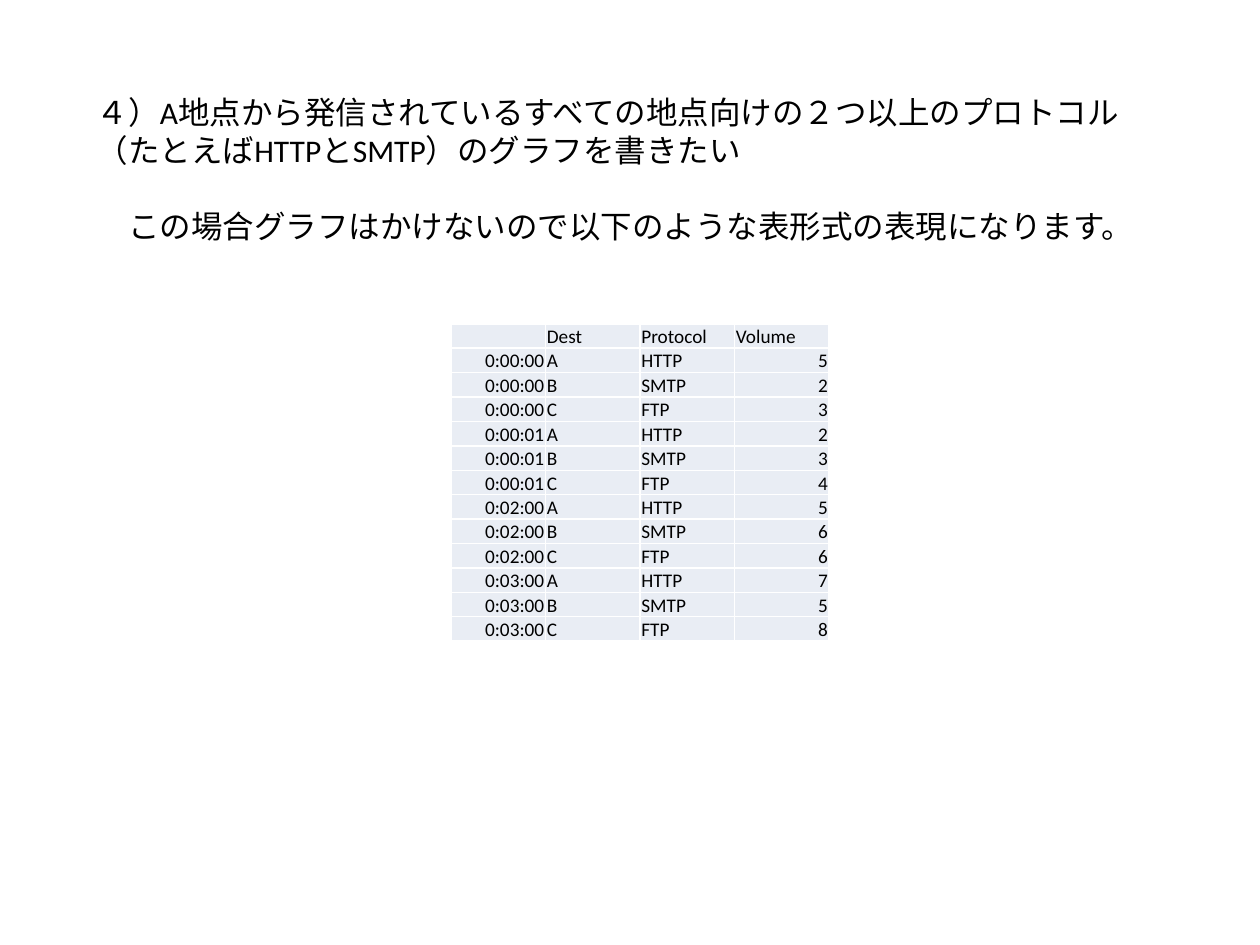
from dataclasses import dataclass
from itertools import product
from lxml.etree import SubElement
from pptx import Presentation
from pptx.dml.color import RGBColor as Rgb
from pptx.enum.text import MSO_ANCHOR as Anchor, MSO_AUTO_SIZE as Fit, PP_ALIGN as Align
from pptx.oxml.ns import qn
from pptx.util import Inches, Pt

HUES = {"ink": "000000", "cell": "E9EDF4", "line": "FFFFFF"}
FONT = "Calibri"
HEAD = ("", "Dest", "Protocol", "Volume")
TIMES = ("0:00:00", "0:00:01", "0:02:00", "0:03:00")
PORTS = (("A", "HTTP"), ("B", "SMTP"), ("C", "FTP"))
LOADS = (5, 2, 3, 2, 3, 4, 5, 6, 6, 7, 5, 8)
NOTES = (
    "４）A地点から発信されているすべての地点向けの２つ以上のプロトコル（たとえばHTTPとSMTP）のグラフを書きたい",
    "　この場合グラフはかけないので以下のような表形式の表現になります。",
)


@dataclass
class Box:
    left: float
    top: float
    width: float
    height: float

    def place(self) -> tuple:
        return tuple(Inches(n) for n in (self.left, self.top, self.width, self.height))


def put(para, text: str, *, size: int, align=Align.LEFT, gap: int = 0) -> None:
    para.alignment = align
    para.space_before = Pt(gap)
    if not text:
        SubElement(para._p, qn("a:endParaRPr"), sz=str(size * 100))
        return
    run = para.add_run()
    run.text = text
    run.font.size = Pt(size)
    run.font.name = FONT
    run.font.color.rgb = Rgb.from_string(HUES["ink"])


def edge(cell) -> None:
    props = cell._tc.get_or_add_tcPr()
    for spot, side in enumerate("LRTB"):
        line = props.makeelement(qn(f"a:ln{side}"), {"w": str(Pt(1))})
        fill = SubElement(line, qn("a:solidFill"))
        SubElement(fill, qn("a:srgbClr"), val=HUES["line"])
        props.insert(spot, line)


def draw_notes(slide, box: Box) -> None:
    frame = slide.shapes.add_textbox(*box.place()).text_frame
    frame.word_wrap = True
    frame.auto_size = Fit.SHAPE_TO_FIT_TEXT
    put(frame.paragraphs[0], NOTES[0], size=18)
    put(frame.add_paragraph(), NOTES[1], size=18, gap=22)


def draw_cell(cell, text: str, align) -> None:
    cell.fill.solid()
    cell.fill.fore_color.rgb = Rgb.from_string(HUES["cell"])
    cell.vertical_anchor = Anchor.MIDDLE
    cell.margin_left = cell.margin_right = cell.margin_top = Inches(0.01)
    cell.margin_bottom = 0
    edge(cell)
    put(cell.text_frame.paragraphs[0], text, size=11, align=align)


def draw_table(slide, rows: list, box: Box) -> None:
    table = slide.shapes.add_table(len(rows), len(HEAD), *box.place()).table
    table.first_row = table.horz_banding = False
    for r, row in enumerate(rows):
        for c, text in enumerate(row):
            right = r > 0 and c in (0, 3)
            draw_cell(table.cell(r, c), text, Align.RIGHT if right else Align.LEFT)


def main() -> None:
    deck = Presentation()
    deck.slide_width, deck.slide_height = Inches(10), Inches(7.5)
    slide = deck.slides.add_slide(deck.slide_layouts[6])
    draw_notes(slide, Box(0.67, 0.69, 8.35, 1.31))
    pairs = zip(product(TIMES, PORTS), LOADS)
    rows = [HEAD] + [(time, *port, str(load)) for (time, port), load in pairs]
    draw_table(slide, rows, Box(3.58, 2.57, 3, 2.52))
    deck.save("out.pptx")


if __name__ == "__main__":
    main()
